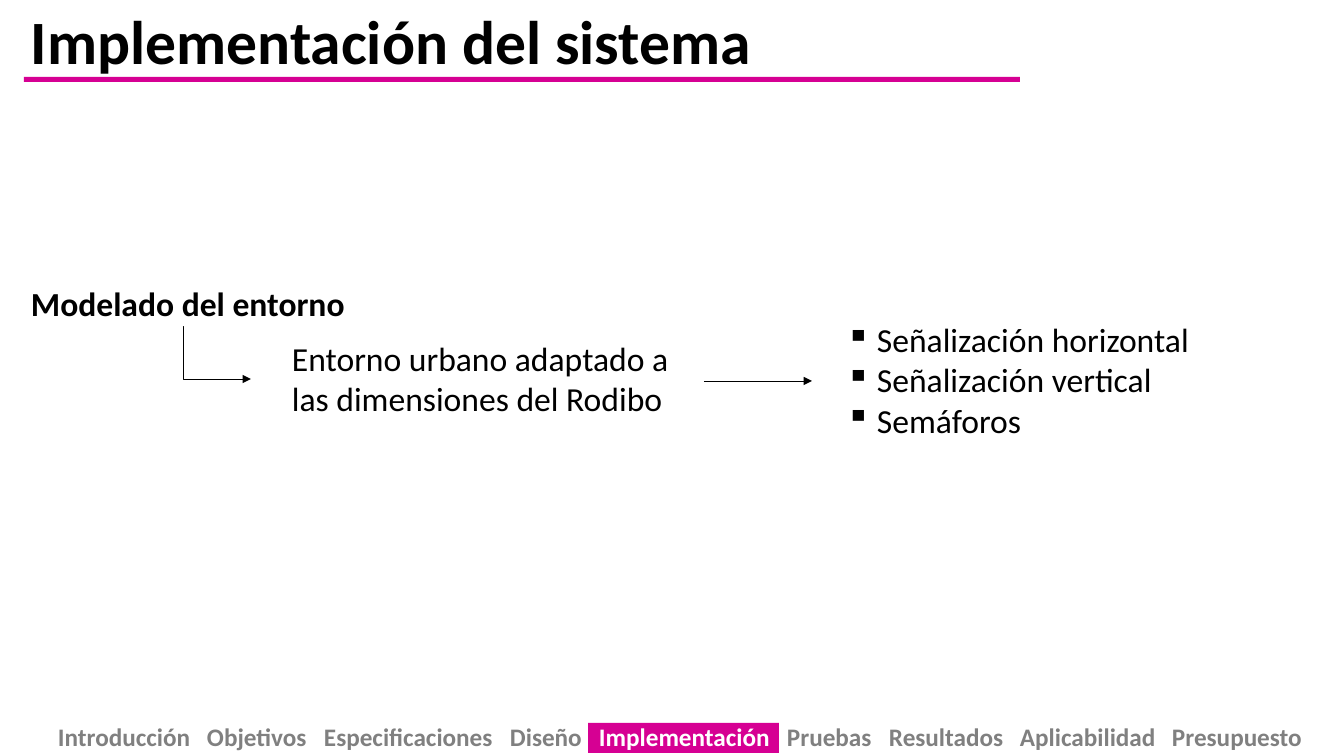
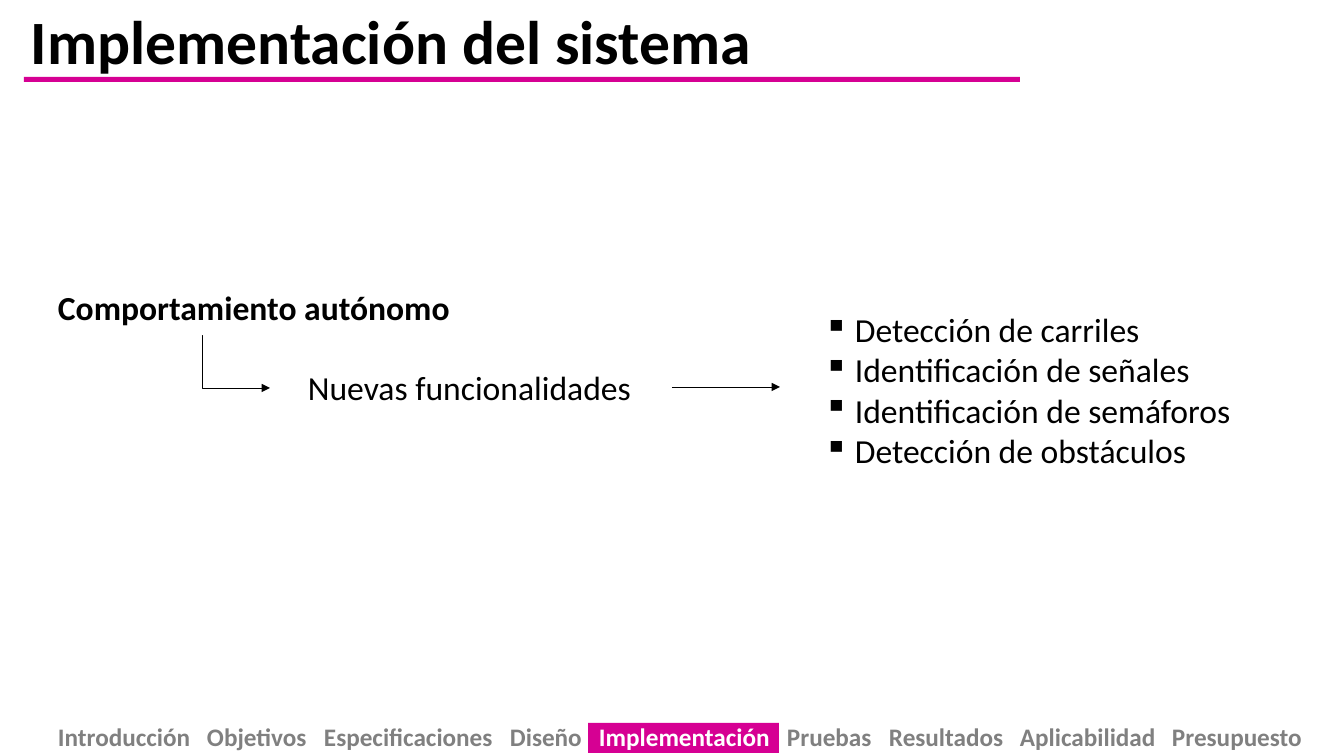
import dataclasses
import itertools

import lxml.etree
import pptx
import pptx.dml.color
import pptx.enum.shapes
import pptx.enum.text
import pptx.oxml
import pptx.oxml.ns
import pptx.util

SLIDE_WIDTH, SLIDE_HEIGHT = 1344, 756
EMU_PER_PX = 914400 / 100.8
FONT = "Calibri"
BLACK, WHITE, GRAY, MAGENTA = "000000", "FFFFFF", "808080", "D60093"
TITLE = "Implementación del sistema"
SECTIONS = {
    "Introducción": 132, "Objetivos": 100, "Especificaciones": 169,
    "Diseño": 72, "Implementación": 171, "Pruebas": 85,
    "Resultados": 114, "Aplicabilidad": 135, "Presupuesto": 130,
}
SECTION_GAP = 17
CURRENT_SECTION = "Implementación"
ELBOW_WIDTH, ELBOW_HEIGHT = 68, 53
ARROW_LENGTH = 108
BULLET_INDENT = 31


@dataclasses.dataclass
class Flow:
    region: tuple
    heading: str
    heading_box: tuple
    elbow_start: tuple
    detail: str
    detail_box: tuple
    items: list
    list_box: tuple


FLOWS = [
    Flow((21, 278, 1188, 169),
         "Modelado del entorno", (0, 0, 385, 50), (162, 48),
         "Entorno urbano adaptado a las dimensiones del Rodibo", (261, 55, 422, 96),
         ["Señalización horizontal", "Señalización vertical", "Semáforos"],
         (815, 36, 373, 132)),
    Flow((48, 282, 1204, 196),
         "Comportamiento autónomo", (0, 0, 675, 50), (154, 53),
         "Nuevas funcionalidades", (250, 80, 374, 50),
         ["Detección de carriles", "Identificación de señales",
          "Identificación de semáforos", "Detección de obstáculos"],
         (766, 22, 437, 173)),
]


def px(length):
    return pptx.util.Emu(round(length * EMU_PER_PX))


def color(value):
    return pptx.dml.color.RGBColor.from_string(value)


def inside(region, box):
    return (region[0] + box[0], region[1] + box[1], *box[2:])


def style_run(run, size, bold=False, fill=BLACK):
    run.font.name = FONT
    run.font.size = pptx.util.Pt(size)
    run.font.bold = bold
    run.font.color.rgb = color(fill)


def add_text(slide, box, text, size, bold=False):
    shape = slide.shapes.add_textbox(*map(px, box))
    frame = shape.text_frame
    frame.word_wrap = True
    frame.text = text
    for paragraph in frame.paragraphs:
        for run in paragraph.runs:
            style_run(run, size, bold)
    return shape


def add_band(slide, box):
    shape = slide.shapes.add_shape(
        pptx.enum.shapes.MSO_SHAPE.RECTANGLE, *map(px, box))
    shape.shadow.inherit = False
    shape.fill.solid()
    shape.fill.fore_color.rgb = color(MAGENTA)
    shape.line.fill.background()


def add_arrow(slide, kind, start, end):
    connector = slide.shapes.add_connector(kind, *map(px, (*start, *end)))
    connector.line.color.rgb = color(BLACK)
    connector.line.width = pptx.util.Pt(0.5)
    qualified = pptx.oxml.ns.qn
    properties = connector._element.spPr
    line = properties.find(qualified("a:ln"))
    lxml.etree.SubElement(line, qualified("a:tailEnd"), type="triangle")
    lxml.etree.SubElement(properties, qualified("a:effectLst"))
    return connector


def add_elbow_arrow(slide, start):
    end = (start[0] + ELBOW_WIDTH, start[1] + ELBOW_HEIGHT)
    connector = add_arrow(
        slide, pptx.enum.shapes.MSO_CONNECTOR.ELBOW, start, end)
    qualified = pptx.oxml.ns.qn
    geometry = connector._element.spPr.find(qualified("a:prstGeom"))
    adjustments = geometry.find(qualified("a:avLst"))
    lxml.etree.SubElement(
        adjustments, qualified("a:gd"), name="adj1", fmla="val 200")


def add_bullets(slide, box, items):
    shape = add_text(slide, box, "\n".join(items), 24)
    for paragraph in shape.text_frame.paragraphs:
        properties = paragraph._p.get_or_add_pPr()
        properties.set("marL", str(px(BULLET_INDENT)))
        properties.set("indent", str(-px(BULLET_INDENT)))
        lxml.etree.SubElement(
            properties, pptx.oxml.ns.qn("a:buChar"), char="▪")


def add_title(slide, box):
    left, top, width, height = box
    shape = add_text(slide, box, TITLE, 44, bold=True)
    shape.text_frame.vertical_anchor = pptx.enum.text.MSO_ANCHOR.MIDDLE
    shape.text_frame.paragraphs[0].line_spacing = 0.9
    add_band(slide, (left + 3, top + height - 13, 996, 5))


def add_footer(slide, box):
    left, top, width, height = box
    steps = [label_width + SECTION_GAP for label_width in SECTIONS.values()]
    offsets = list(itertools.accumulate(steps[:-1], initial=0))
    current = list(SECTIONS).index(CURRENT_SECTION)
    add_band(slide, (left + offsets[current] - 11, top + 7,
                     SECTIONS[CURRENT_SECTION] + 20, 30))
    shape = slide.shapes.add_textbox(*map(px, box))
    frame = shape.text_frame
    frame.margin_left = frame.margin_right = 0
    paragraph = frame.paragraphs[0]
    qualified = pptx.oxml.ns.qn
    tabs = lxml.etree.SubElement(
        paragraph._p.get_or_add_pPr(), qualified("a:tabLst"))
    for offset in offsets[1:]:
        lxml.etree.SubElement(
            tabs, qualified("a:tab"), pos=str(px(offset)), algn="l")
    frame.word_wrap = True
    for index, section in enumerate(SECTIONS):
        run = paragraph.add_run()
        run.text = f"\t{section}" if index else section
        style_run(run, 18, True, WHITE if index == current else GRAY)


def add_flow(slide, flow):
    add_text(slide, inside(flow.region, flow.heading_box),
             flow.heading, 24, bold=True)
    add_elbow_arrow(slide, inside(flow.region, flow.elbow_start))
    left, top, width, height = inside(flow.region, flow.detail_box)
    detail = add_text(slide, (left, top, width, height), flow.detail, 24)
    start = (left + width, top + height // 2)
    arrow = add_arrow(slide, pptx.enum.shapes.MSO_CONNECTOR.STRAIGHT,
                      start, (start[0] + ARROW_LENGTH, start[1]))
    arrow.begin_connect(detail, 3)
    add_bullets(slide, inside(flow.region, flow.list_box), flow.items)


def main():
    presentation = pptx.Presentation()
    presentation.slide_width = px(SLIDE_WIDTH)
    presentation.slide_height = px(SLIDE_HEIGHT)
    for flow in FLOWS:
        slide = presentation.slides.add_slide(presentation.slide_layouts[6])
        add_title(slide, (21, 0, 1231, 90))
        add_flow(slide, flow)
        add_footer(slide, (58, 716, 1280, 40))
    presentation.save("out.pptx")


if __name__ == "__main__":
    main()
